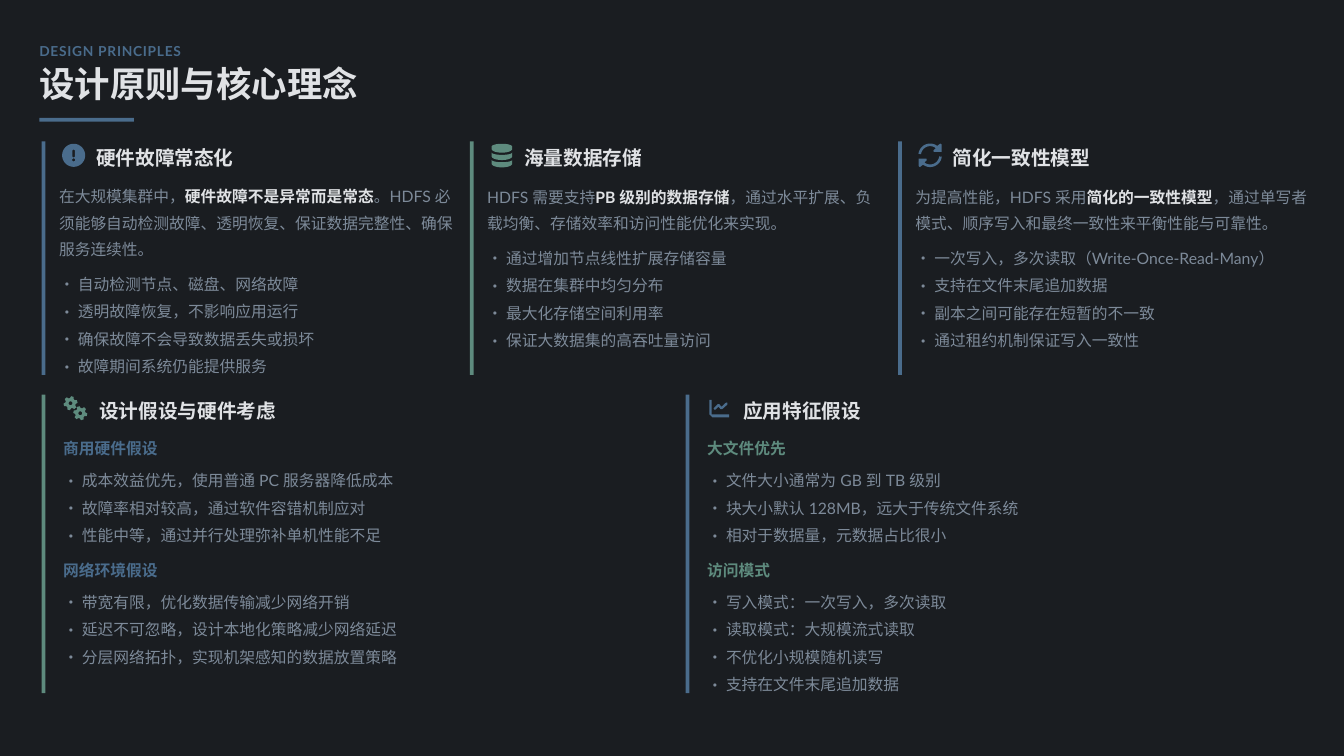
from dataclasses import dataclass
from math import cos, radians, sin

from lxml import etree
from pptx import Presentation
from pptx.dml.color import RGBColor
from pptx.enum.shapes import MSO_SHAPE
from pptx.enum.text import MSO_ANCHOR
from pptx.oxml.ns import qn
from pptx.util import Pt

RECTANGLE = MSO_SHAPE.RECTANGLE
TOP, MIDDLE = MSO_ANCHOR.TOP, MSO_ANCHOR.MIDDLE


@dataclass(frozen=True)
class Theme:
    background: str = "1A1D21"
    blue: str = "4A6C8C"
    green: str = "5E8B7E"
    bright: str = "E0E2E5"
    muted: str = "7D8A99"
    font: str = "Lato"
    cjk_font: str = "Noto Sans CJK SC"
    eyebrow: float = 13.1
    title: float = 33.7
    heading: float = 18.7
    body: float = 15


THEME = Theme()

EYEBROW = "DESIGN PRINCIPLES"
TITLE = "设计原则与核心理念"

# Summary parts are (text before, emphasis, text after).
PRINCIPLES = [
    dict(icon="alert", color=THEME.blue, heading="硬件故障常态化", lines=3,
         summary=("在大规模集群中，", "硬件故障不是异常而是常态",
                  "。HDFS 必须能够自动检测故障、透明恢复、保证数据完整性、确保服务连续性。"),
         points=["自动检测节点、磁盘、网络故障", "透明故障恢复，不影响应用运行",
                 "确保故障不会导致数据丢失或损坏", "故障期间系统仍能提供服务"]),
    dict(icon="database", color=THEME.green, heading="海量数据存储", lines=2,
         summary=("HDFS 需要支持", "PB 级别的数据存储",
                  "，通过水平扩展、负载均衡、存储效率和访问性能优化来实现。"),
         points=["通过增加节点线性扩展存储容量", "数据在集群中均匀分布",
                 "最大化存储空间利用率", "保证大数据集的高吞吐量访问"]),
    dict(icon="sync", color=THEME.blue, heading="简化一致性模型", lines=2,
         summary=("为提高性能，HDFS 采用", "简化的一致性模型",
                  "，通过单写者模式、顺序写入和最终一致性来平衡性能与可靠性。"),
         points=["一次写入，多次读取（Write-Once-Read-Many）", "支持在文件末尾追加数据",
                 "副本之间可能存在短暂的不一致", "通过租约机制保证写入一致性"]),
]

ASSUMPTIONS = [
    dict(icon="gears", color=THEME.green, heading="设计假设与硬件考虑", group_color=THEME.blue,
         groups=[("商用硬件假设", ["成本效益优先，使用普通 PC 服务器降低成本",
                             "故障率相对较高，通过软件容错机制应对",
                             "性能中等，通过并行处理弥补单机性能不足"]),
                 ("网络环境假设", ["带宽有限，优化数据传输减少网络开销",
                             "延迟不可忽略，设计本地化策略减少网络延迟",
                             "分层网络拓扑，实现机架感知的数据放置策略"])]),
    dict(icon="trend", color=THEME.blue, heading="应用特征假设", group_color=THEME.green,
         groups=[("大文件优先", ["文件大小通常为 GB 到 TB 级别",
                            "块大小默认 128MB，远大于传统文件系统",
                            "相对于数据量，元数据占比很小"]),
                 ("访问模式", ["写入模式：一次写入，多次读取", "读取模式：大规模流式读取",
                           "不优化小规模随机读写", "支持在文件末尾追加数据"])]),
]

MARGIN, BAR_LEFT, BAR_WIDTH = 37.44, 39.6, 3.6
PRINCIPLE_TOP, PRINCIPLE_HEIGHT, PRINCIPLE_PITCH = 134.64, 222.48, 407.88
ASSUMPTION_TOP, ASSUMPTION_HEIGHT, ASSUMPTION_PITCH = 375.84, 284.4, 613.44
HEADING_HEIGHT, LINE_HEIGHT, SUMMARY_LINE = 25.92, 22.32, 24.48
POINT_PITCH, POINT_GAP, POINT_INDENT = 26.2, 2.8, 18


def arc(cx, cy, rx, ry, start, end, steps=32):
    """Points along an ellipse; angles in degrees, clockwise from the right."""
    angles = [radians(start + (end - start) * i / steps) for i in range(steps + 1)]
    return [(cx + rx * cos(a), cy + ry * sin(a)) for a in angles]


def gear(cx, cy, rotation):
    """A six-toothed wheel and its hole, as two outlines."""
    rim = [(cx + r * cos(radians(rotation + 60 * tooth + a)),
            cy + r * sin(radians(rotation + 60 * tooth + a)))
           for tooth in range(6) for a, r in ((-22, 4.9), (-11, 6.7), (11, 6.7), (22, 4.9))]
    return [rim, arc(cx, cy, 1.8, 1.8, 0, 360)]


def disk_tier(y):
    return arc(0, y, 9.8, 2.3, 180, 0) + arc(0, y + 3.6, 9.8, 3.6, 0, 180)


ARROW = (arc(0, 0, 11.2, 11.2, 187, 307)
         + [(9.7, -11.2), (11, -10.3), (11, -3.2), (3.5, -3.2), (3.2, -4.7)]
         + arc(0, 0, 8.7, 8.7, 308, 187))

# Outlines in points around each icon's centre.
ICONS = {
    "alert": [arc(0, 0, 11, 11, 0, 360),
              arc(0, -4.2, 1.2, 1.2, 180, 360) + arc(0, 0.8, 1.2, 1.2, 0, 180),
              arc(0, 4.4, 1.4, 1.4, 0, 360)],
    "database": [arc(0, -8.2, 9.8, 2.8, 180, 360) + arc(0, -6.1, 9.8, 3.6, 0, 180),
                 disk_tier(-2.7), disk_tier(4.3)],
    "sync": [ARROW, [(-x, -y) for x, y in ARROW]],
    "gears": gear(-4.4, -4.8, -74) + gear(4.9, 4.7, 13),
    "trend": [[(-9.4, -7.9), (-7.2, -7.9), (-7.2, 5.8), (9.4, 5.8), (9.4, 8.6),
               (-6.5, 8.6), (-9.4, 5.8)],
              [(-5.4, 0), (-1.4, -4), (0, -4), (2.2, -1.4), (5.8, -5), (7.6, -5.6),
               (7.9, -3.6), (2.9, 0.9), (1.4, 0.9), (-0.7, -1.4), (-3.6, 1.4), (-4.7, 1.4)]],
}


def paint(shape, color):
    shape.shadow.inherit = False
    shape.fill.solid()
    shape.fill.fore_color.rgb = RGBColor.from_string(color)
    shape.line.fill.background()


def add_bar(slide, left, top, width, height, color):
    paint(slide.shapes.add_shape(RECTANGLE, Pt(left), Pt(top), Pt(width), Pt(height)), color)


def add_icon(slide, name, cx, cy, color):
    outlines = [[(Pt(cx + x), Pt(cy + y)) for x, y in outline] for outline in ICONS[name]]
    builder = slide.shapes.build_freeform(*outlines[0][0], scale=1.0)
    for i, outline in enumerate(outlines):
        if i:
            builder.move_to(*outline[0])
        builder.add_line_segments(outline[1:], close=True)
    paint(builder.convert_to_shape(), color)


def style(run, size, color, bold=False, font=THEME.font):
    run.font.name, run.font.size, run.font.bold = font, Pt(size), bold
    run.font.color.rgb = RGBColor.from_string(color)
    etree.SubElement(run._r.get_or_add_rPr(), qn("a:ea")).set("typeface", font)


def add_frame(slide, left, top, width, height, anchor=MIDDLE):
    frame = slide.shapes.add_textbox(Pt(left), Pt(top), Pt(width), Pt(height)).text_frame
    frame.word_wrap, frame.vertical_anchor = True, anchor
    frame.margin_left = frame.margin_right = frame.margin_top = frame.margin_bottom = 0
    return frame


def add_line(slide, text, left, top, width, height, size, color, spacing=1.2, font=THEME.font):
    """One bold line of text; returns its run."""
    frame = add_frame(slide, left, top, width, height)
    frame.text = text
    frame.paragraphs[0].line_spacing = spacing
    run = frame.paragraphs[0].runs[0]
    style(run, size, color, True, font)
    return run


def add_summary(slide, parts, left, top, width, lines):
    paragraph = add_frame(slide, left, top, width, lines * SUMMARY_LINE).paragraphs[0]
    paragraph.line_spacing = 1.4
    for text, bold in zip(parts, (False, True, False)):
        run = paragraph.add_run()
        run.text = text
        style(run, THEME.body, THEME.bright if bold else THEME.muted, bold)


def add_points(slide, points, left, top, width):
    frame = add_frame(slide, left, top, width, len(points) * POINT_PITCH, TOP)
    frame.text = "\n".join(points)
    for i, paragraph in enumerate(frame.paragraphs):
        paragraph.line_spacing = 1.3
        paragraph.space_before = Pt(POINT_GAP if i else 0)
        properties = paragraph._p.get_or_add_pPr()
        properties.set("marL", str(Pt(POINT_INDENT)))
        properties.set("indent", str(-Pt(POINT_INDENT)))
        etree.SubElement(properties, qn("a:buFont")).set("typeface", THEME.cjk_font)
        etree.SubElement(properties, qn("a:buChar")).set("char", "•")
        style(paragraph.runs[0], THEME.body, THEME.muted)


def add_heading(slide, text, left, top):
    add_line(slide, text, left, top, 20 * len(text), HEADING_HEIGHT, THEME.heading, THEME.bright)


def add_principle(slide, card, left):
    top, text_left, width = PRINCIPLE_TOP, left + 16.6, 378
    summary_top = top + 37.44
    add_bar(slide, left, top, BAR_WIDTH, PRINCIPLE_HEIGHT, card["color"])
    add_icon(slide, card["icon"], left + 30.6, top + 13.3, card["color"])
    add_heading(slide, card["heading"], left + 51.9, top)
    add_summary(slide, card["summary"], text_left, summary_top, width, card["lines"])
    points_top = summary_top + card["lines"] * SUMMARY_LINE + 10.3
    add_points(slide, card["points"], text_left, points_top, width)


def add_assumption(slide, panel, left):
    top, text_left, width = ASSUMPTION_TOP, left + 20.5, 576
    add_bar(slide, left, top, BAR_WIDTH, ASSUMPTION_HEIGHT, panel["color"])
    add_icon(slide, panel["icon"], left + 32, top + 13, panel["color"])
    add_heading(slide, panel["heading"], left + 55, top)
    y = top + 37.44
    for name, points in panel["groups"]:
        add_line(slide, name, text_left, y, width, LINE_HEIGHT, THEME.body,
                 panel["group_color"], 1.3)
        add_points(slide, points, text_left, y + 29.7, width)
        y += 37.3 + len(points) * POINT_PITCH


def main():
    deck = Presentation()
    deck.slide_width, deck.slide_height = Pt(1280.16), Pt(720)
    slide = deck.slides.add_slide(deck.slide_layouts[6])
    slide.background.fill.solid()
    slide.background.fill.fore_color.rgb = RGBColor.from_string(THEME.background)

    eyebrow = add_line(slide, EYEBROW, MARGIN, 37.44, 1212, 18.72, THEME.eyebrow, THEME.blue)
    eyebrow._r.get_or_add_rPr().set("spc", "70")
    add_line(slide, TITLE, MARGIN, 63.36, 1222, 37.44, THEME.title, THEME.bright, 0.9,
             THEME.cjk_font)
    add_bar(slide, MARGIN, 112.32, 90, 3.6, THEME.blue)
    for i, card in enumerate(PRINCIPLES):
        add_principle(slide, card, BAR_LEFT + i * PRINCIPLE_PITCH)
    for i, panel in enumerate(ASSUMPTIONS):
        add_assumption(slide, panel, BAR_LEFT + i * ASSUMPTION_PITCH)
    deck.save("out.pptx")


if __name__ == "__main__":
    main()
